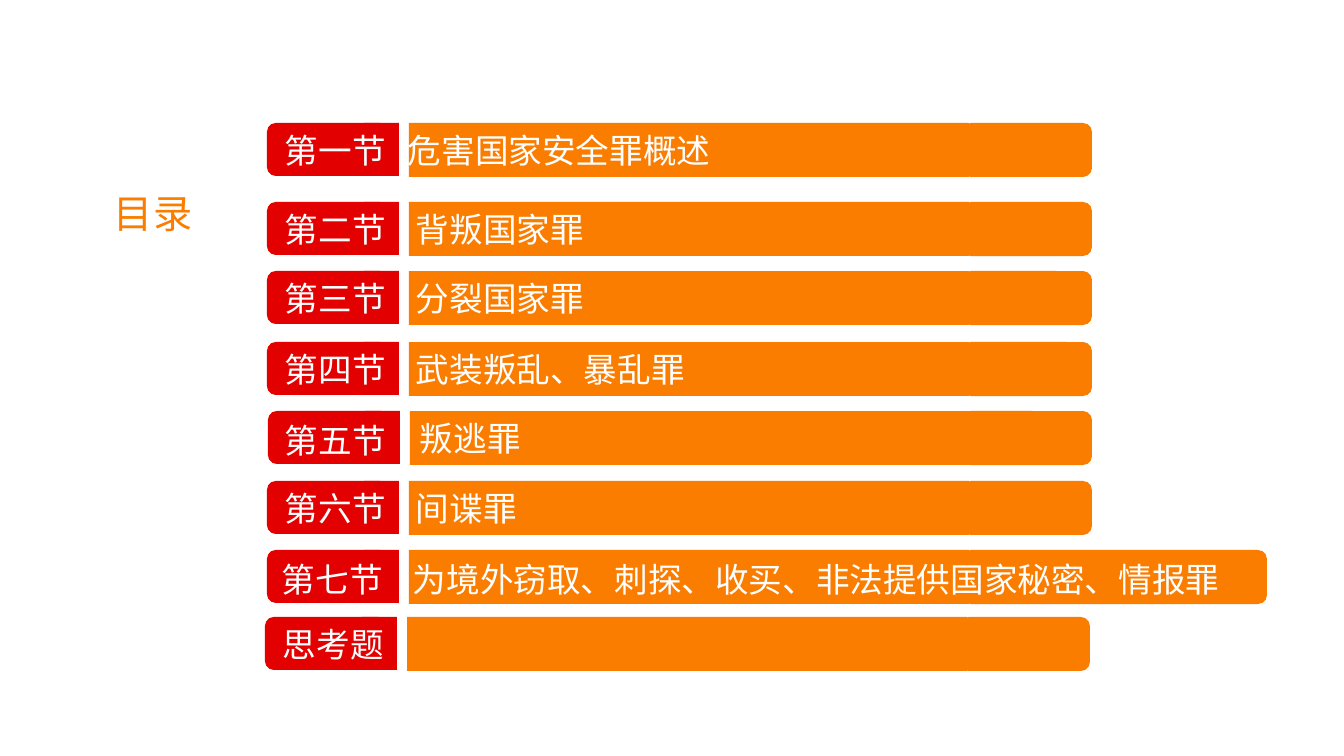
import pptx
import pptx.util
import pptx.dml.color
import pptx.enum.shapes
import pptx.enum.text
import pptx.oxml.ns
from lxml import etree

ORANGE = pptx.dml.color.RGBColor(0xFA, 0x7D, 0x00)
RED = pptx.dml.color.RGBColor(0xE2, 0x00, 0x00)
WHITE = pptx.dml.color.RGBColor(0xFF, 0xFF, 0xFF)
FONT = "Noto Sans CJK SC"
SHAPE = pptx.enum.shapes.MSO_SHAPE
PX_PER_INCH = 100.8
LABEL_HEIGHT = 53
BAR_HEIGHT = 54

# label, title, top, and whatever departs from ROW_DEFAULTS
ROWS = [
    ("第一节", "危害国家安全罪概述", 123, {"text_width": 668, "tab": 123}),
    ("第二节", "背叛国家罪", 202, {}),
    ("第三节", "分裂国家罪", 271, {}),
    ("第四节", "武装叛乱、暴乱罪", 342, {"text_width": 433}),
    ("第五节", "叛逃罪", 411, {"left": 268, "text_left": 275, "text_drop": 4,
                          "text_width": 182, "title_in_bar": True}),
    ("第六节", "间谍罪", 481, {"text_width": 264}),
    ("第七节", "为境外窃取、刺探、收买、非法提供国家秘密、情报罪", 550,
     {"text_left": 272, "text_drop": 4, "text_width": 986, "cap_width": 305}),
    ("思考题", "", 617, {"left": 265, "text_left": 273, "cap_left": 960,
                      "text_width": 668}),
]
ROW_DEFAULTS = {"left": 267, "text_left": 275, "text_drop": 2, "text_width": 332,
                "tab": 131, "cap_left": 962, "cap_width": 130,
                "title_in_bar": False}


def px(length):
    return pptx.util.Emu(round(length * 914400 / PX_PER_INCH))


def add_block(slide, kind, box, color):
    shape = slide.shapes.add_shape(kind, *map(px, box))
    shape.shadow.inherit = False
    shape.fill.solid()
    shape.fill.fore_color.rgb = color
    shape.line.fill.background()
    return shape


def write(paragraph, text, size, color):
    paragraph.alignment = pptx.enum.text.PP_ALIGN.LEFT
    run = paragraph.add_run()
    run.text = text
    for name, value in {"name": FONT, "size": pptx.util.Pt(size)}.items():
        setattr(run.font, name, value)
    run.font.color.rgb = color
    east_asian = etree.SubElement(run.font._element, pptx.oxml.ns.qn("a:ea"))
    east_asian.set("typeface", FONT)


def add_text(slide, box, text, size, color, tab=None):
    frame = slide.shapes.add_textbox(*map(px, box)).text_frame
    frame.word_wrap = True
    frame.auto_size = pptx.enum.text.MSO_AUTO_SIZE.SHAPE_TO_FIT_TEXT
    paragraph = frame.paragraphs[0]
    if tab:
        properties = paragraph._p.get_or_add_pPr()
        tabs = etree.SubElement(properties, pptx.oxml.ns.qn("a:tabLst"))
        etree.SubElement(tabs, pptx.oxml.ns.qn("a:tab"), pos=str(px(tab)), algn="l")
    write(paragraph, text, size, color)


def add_section_row(slide, label, title, top, changes):
    row = ROW_DEFAULTS | changes
    left = row["left"]
    add_block(slide, SHAPE.ROUNDED_RECTANGLE,
              (row["cap_left"], top, row["cap_width"], BAR_HEIGHT), ORANGE)
    add_block(slide, SHAPE.ROUNDED_RECTANGLE, (left, top, 122, LABEL_HEIGHT), RED)
    add_block(slide, SHAPE.RECTANGLE, (left + 97, top, 35, LABEL_HEIGHT), RED)
    bar = add_block(slide, SHAPE.RECTANGLE, (left + 142, top, 560, BAR_HEIGHT), ORANGE)

    text_box = (row["text_left"], top + row["text_drop"], row["text_width"], 50)
    if title and not row["title_in_bar"]:
        add_text(slide, text_box, f"{label}\t{title}", 24, WHITE, row["tab"])
        return
    add_text(slide, text_box, label, 24, WHITE)
    if title:
        bar.text_frame.vertical_anchor = pptx.enum.text.MSO_ANCHOR.MIDDLE
        write(bar.text_frame.paragraphs[0], title, 24, WHITE)


def add_contents_slide(presentation):
    slide = presentation.slides.add_slide(presentation.slide_layouts[6])
    add_text(slide, (104, 184, 100, 57), "目录", 28, ORANGE)
    for row in ROWS:
        add_section_row(slide, *row)


def main():
    presentation = pptx.Presentation()
    presentation.slide_width = px(1344)
    presentation.slide_height = px(756)
    add_contents_slide(presentation)
    presentation.save("out.pptx")


if __name__ == "__main__":
    main()
